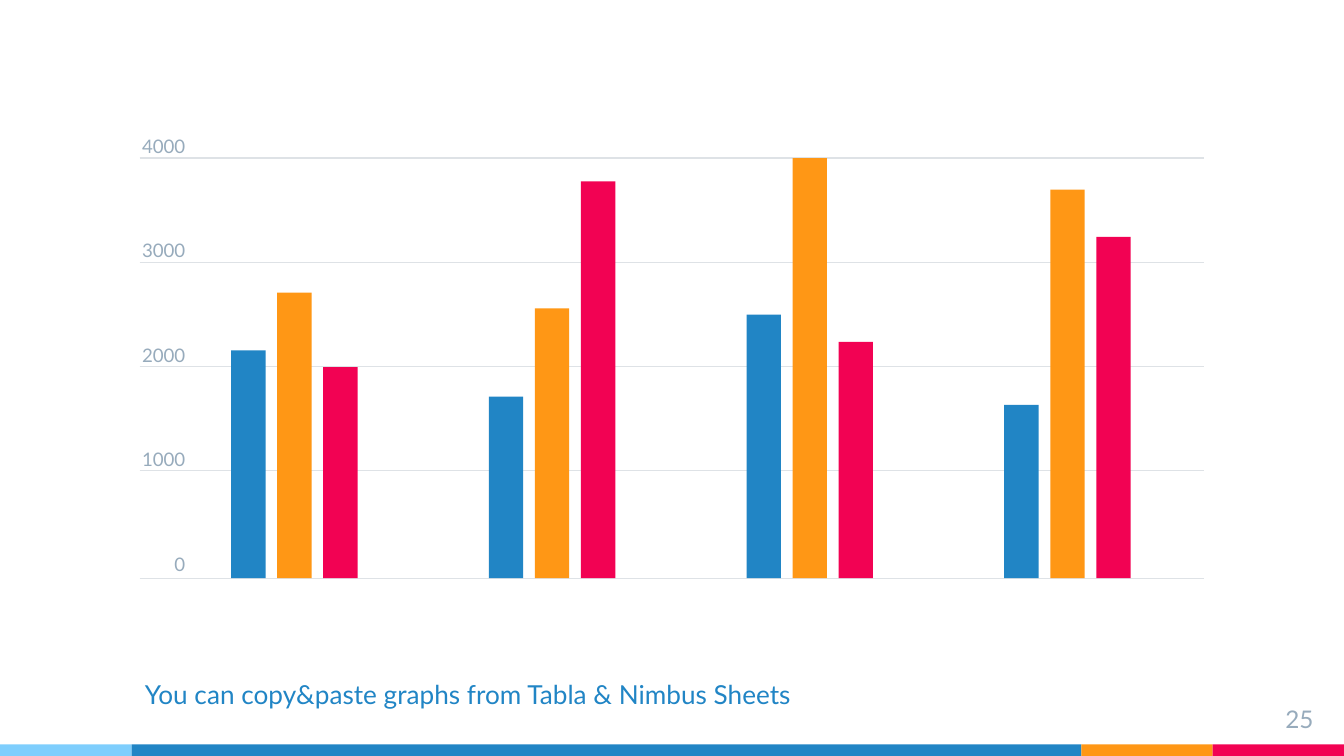
from lxml.etree import SubElement
from pptx import Presentation
from pptx.dml.color import RGBColor
from pptx.enum.shapes import MSO_CONNECTOR, MSO_SHAPE
from pptx.enum.text import MSO_ANCHOR, PP_ALIGN
from pptx.oxml.ns import qn
from pptx.util import Cm, Pt

SKY = RGBColor(0x7E, 0xCE, 0xFD)
BLUE = RGBColor(0x21, 0x85, 0xC5)
ORANGE = RGBColor(0xFF, 0x97, 0x15)
RED = RGBColor(0xF2, 0x02, 0x53)
GREY = RGBColor(0x97, 0xAB, 0xBC)
PALE = RGBColor(0xDE, 0xE2, 0xE6)

CAPTION = "You can copy&paste graphs from Tabla & Nimbus Sheets"
PAGE_NUMBER = "25"
AXIS_LABELS = ["4000", "3000", "2000", "1000", "0"]
GRIDLINES = [2.99, 4.96, 6.93, 8.89, 10.93]
SERIES_COLOURS = [BLUE, ORANGE, RED]
GROUPS = [
    (2170, 2720, 2010),
    (1730, 2570, 3780),
    (2510, 4000, 2250),
    (1650, 3700, 3250),
]
FOOTER_BANDS = [(SKY, 2.49), (BLUE, 17.95), (ORANGE, 2.48), (RED, 2.48)]

PAGE_WIDTH, PAGE_HEIGHT = 25.4, 14.29
FOOTER_TOP = 14.07
PLOT_LEFT, PLOT_RIGHT = 2.64, 22.76
PLOT_TOP, BASELINE = GRIDLINES[0], GRIDLINES[-1]
AXIS_MAXIMUM = 4000
FIRST_BAR, BAR_WIDTH, BAR_STEP, GROUP_STEP = 4.37, 0.65, 0.87, 4.87


def add_bar(page, left, top, width, height, colour):
    bar = page.shapes.add_shape(
        MSO_SHAPE.RECTANGLE, Cm(left), Cm(top), Cm(width), Cm(height))
    bar.shadow.inherit = False
    bar.fill.solid()
    bar.fill.fore_color.rgb = colour
    bar.line.fill.background()


def add_gridline(page, top):
    line = page.shapes.add_connector(
        MSO_CONNECTOR.STRAIGHT, Cm(PLOT_LEFT), Cm(top), Cm(PLOT_RIGHT), Cm(top))
    line.line.color.rgb = PALE
    line.line.width = Pt(0.75)
    SubElement(line._element.spPr, qn("a:effectLst"))


def add_text(page, lines, place, size, colour, inset=0.25,
             anchor=MSO_ANCHOR.TOP, align=PP_ALIGN.LEFT, gap=0):
    """Add a text box with one paragraph per line, gap points apart."""
    box = page.shapes.add_textbox(*(Cm(length) for length in place))
    frame = box.text_frame
    frame.word_wrap = True
    frame.vertical_anchor = anchor
    for side in ("left", "top", "right", "bottom"):
        setattr(frame, f"margin_{side}", Cm(inset))
    for index, line in enumerate(lines):
        para = frame.add_paragraph() if index else frame.paragraphs[0]
        para.alignment = align
        para.space_before = Pt(gap if index else 0)
        span = para.add_run()
        span.text = line
        span.font.color.rgb = colour
        for name, value in {"name": "Lato", "size": Pt(size)}.items():
            setattr(span.font, name, value)


def main():
    deck = Presentation()
    deck.slide_width, deck.slide_height = Cm(PAGE_WIDTH), Cm(PAGE_HEIGHT)
    page = deck.slides.add_slide(deck.slide_layouts[6])

    left = 0
    for colour, width in FOOTER_BANDS:
        add_bar(page, left, FOOTER_TOP, width, PAGE_HEIGHT - FOOTER_TOP, colour)
        left += width

    add_text(page, [CAPTION], (2.49, 12.7, 20.12, 0.97), 14, BLUE,
             anchor=MSO_ANCHOR.BOTTOM)
    add_text(page, [PAGE_NUMBER], (23.55, 13.06, 1.52, 0.86), 13, GREY,
             align=PP_ALIGN.RIGHT)

    for top in GRIDLINES:
        add_gridline(page, top)
    add_text(page, AXIS_LABELS, (PLOT_LEFT, 2.54, 0.86, 8.41), 10, GREY,
             inset=0, align=PP_ALIGN.RIGHT, gap=44)

    for group, values in enumerate(GROUPS):
        for series, (value, colour) in enumerate(zip(values, SERIES_COLOURS)):
            left = FIRST_BAR + group * GROUP_STEP + series * BAR_STEP
            height = (BASELINE - PLOT_TOP) * value / AXIS_MAXIMUM
            add_bar(page, left, BASELINE - height, BAR_WIDTH, height, colour)

    deck.save("out.pptx")


if __name__ == "__main__":
    main()
